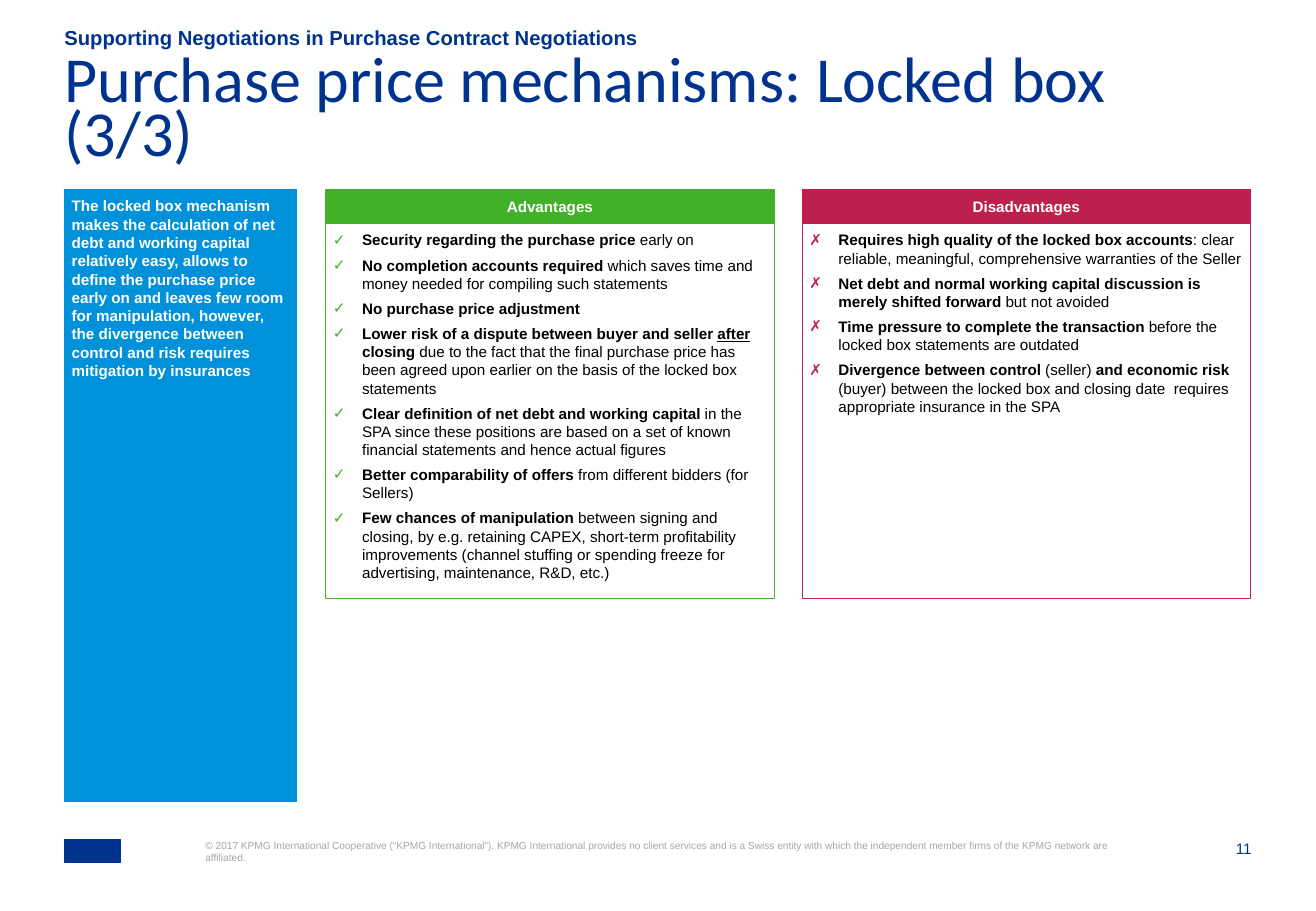
from lxml.etree import SubElement
from pptx import Presentation
from pptx.dml.color import RGBColor
from pptx.enum.shapes import MSO_SHAPE
from pptx.enum.text import MSO_ANCHOR, MSO_AUTO_SIZE, PP_ALIGN
from pptx.oxml.ns import qn
from pptx.util import Inches, Pt

NAVY, BLUE, GREEN, RED = "00338D", "0091DA", "43B02A", "BC204B"
WHITE, BLACK, GREY = "FFFFFF", "000000", "A6A6A6"
LEFT, TOP = 0.53, 1.56
INSET = 0.06
HEADER_HEIGHT, LIST_HEIGHT = 0.28, 3.09
COLUMN_WIDTH = 3.69

# Each point is a list of (text, style); b is bold, u is underlined.
ADVANTAGES = [
    [("Security regarding the purchase price", "b"), (" early on", "")],
    [("No completion accounts required", "b"),
     (" which saves time and money needed for compiling such statements", "")],
    [("No purchase price adjustment", "b")],
    [("Lower risk of a dispute between buyer and seller ", "b"), ("after", "bu"),
     (" closing", "b"),
     (" due to the fact that the final purchase price has been agreed upon earlier "
      "on the basis of the locked box statements", "")],
    [("Clear definition of net debt and working capital", "b"),
     (" in the SPA since these positions are based on a set of known financial "
      "statements and hence actual figures", "")],
    [("Better comparability of offers", "b"),
     (" from different bidders (for Sellers)", "")],
    [("Few chances of manipulation", "b"),
     (" between signing and closing, by e.g. retaining CAPEX, short-term profitability "
      "improvements (channel stuffing or spending freeze for advertising, maintenance, "
      "R&D, etc.)", "")],
]
DISADVANTAGES = [
    [("Requires high quality of the locked box accounts", "b"),
     (": clear reliable, meaningful, comprehensive warranties of the Seller", "")],
    [("Net debt and normal working capital discussion is merely shifted forward", "b"),
     (" but not avoided", "")],
    [("Time pressure to complete the transaction", "b"),
     (" before the locked box statements are outdated", "")],
    [("Divergence between control", "b"), (" (seller) ", ""),
     ("and economic risk ", "b"),
     ("(buyer) between the locked box and closing date\trequires appropriate "
      "insurance in the SPA", "")],
]


def rgb(color):
    return RGBColor.from_string(color)


def place(shape, left, top, width, height):
    shape.left, shape.top = Inches(left), Inches(top)
    shape.width, shape.height = Inches(width), Inches(height)


def paint(shape, fill, line, weight):
    shape.fill.solid()
    shape.fill.fore_color.rgb = rgb(fill)
    shape.line.color.rgb = rgb(line)
    shape.line.width = Pt(weight)


def prepare_frame(shape, inset=0, anchor=MSO_ANCHOR.TOP):
    frame = shape.text_frame
    frame.word_wrap = True
    frame.auto_size = MSO_AUTO_SIZE.NONE
    frame.vertical_anchor = anchor
    frame.margin_left = frame.margin_right = Inches(inset)
    frame.margin_top = frame.margin_bottom = Inches(inset)
    return frame


def format_paragraph(paragraph, size, color, align=PP_ALIGN.LEFT, after=0, face="Arial"):
    paragraph.alignment = align
    paragraph.space_before, paragraph.space_after = Pt(0), Pt(after)
    paragraph.font.size, paragraph.font.name = Pt(size), face
    paragraph.font.color.rgb = rgb(color)


def write(shape, text, size, color, bold=False, inset=0, anchor=MSO_ANCHOR.TOP, **style):
    """Fill the shape with one paragraph and return that paragraph."""
    paragraph = prepare_frame(shape, inset, anchor).paragraphs[0]
    paragraph.text = text
    format_paragraph(paragraph, size, color, **style)
    paragraph.font.bold = bold
    return paragraph


def add_bullet(paragraph, mark, color):
    properties = paragraph._p.get_or_add_pPr()
    properties.set("marL", str(Inches(0.24)))
    properties.set("indent", str(-Inches(0.24)))
    SubElement(SubElement(properties, qn("a:buClr")), qn("a:srgbClr")).set("val", color)
    SubElement(properties, qn("a:buFont")).set("typeface", "Arial")
    SubElement(properties, qn("a:buChar")).set("char", mark)


def build_heading(title, kicker):
    place(kicker, LEFT, 0.22, 9.4, 0.19)
    write(kicker, "Supporting Negotiations in Purchase Contract Negotiations",
          12, NAVY, bold=True, anchor=MSO_ANCHOR.BOTTOM)
    place(title, LEFT, 0.49, 9.75, 0.79)
    heading = write(title, "Purchase price mechanisms: Locked box (3/3)",
                    38, NAVY, face="Calibri")
    heading.line_spacing = 0.7


def build_sidebar(sidebar, left, top):
    place(sidebar, left, top, 1.91, 5.04)
    paint(sidebar, BLUE, BLUE, 0.75)
    write(sidebar,
          "The locked box mechanism makes the calculation of net debt and working capital "
          "relatively easy, allows to define the purchase price early on and leaves few "
          "room for manipulation, however, the divergence between control and risk "
          "requires mitigation by insurances",
          9, WHITE, bold=True, inset=INSET, after=6)


def build_column(slide, points_box, left, top, heading, points, mark, color):
    """Place a coloured header with its bulleted list below."""
    header = slide.shapes.add_shape(MSO_SHAPE.RECTANGLE, Inches(left), Inches(top),
                                    Inches(COLUMN_WIDTH), Inches(HEADER_HEIGHT))
    header.shadow.inherit = False
    paint(header, color, color, 0.5)
    write(header, heading, 9, WHITE, bold=True, inset=INSET,
          anchor=MSO_ANCHOR.MIDDLE, align=PP_ALIGN.CENTER)

    place(points_box, left, top + HEADER_HEIGHT, COLUMN_WIDTH, LIST_HEIGHT)
    paint(points_box, WHITE, color, 0.5)
    frame = prepare_frame(points_box, INSET)
    for index, point in enumerate(points):
        paragraph = frame.add_paragraph() if index else frame.paragraphs[0]
        add_bullet(paragraph, mark, color)
        format_paragraph(paragraph, 9, BLACK, after=4)
        for text, style in point:
            run = paragraph.add_run()
            run.text = text
            run.font.bold = "b" in style
            if "u" in style:
                run.font.underline = True


def build_footer(slide, top):
    emblem = slide.shapes.add_shape(MSO_SHAPE.RECTANGLE, Inches(LEFT), Inches(top),
                                    Inches(0.46), Inches(0.19))
    emblem.shadow.inherit = False
    paint(emblem, NAVY, NAVY, 0.5)
    copyright_line = slide.shapes.add_textbox(Inches(1.69), Inches(top),
                                              Inches(7.49), Inches(0.41))
    write(copyright_line,
          "© 2017 KPMG International Cooperative (“KPMG International”). KPMG International "
          "provides no client services and is a Swiss entity with which the independent "
          "member firms of the KPMG network are affiliated.", 6, GREY)
    page_number = slide.shapes.add_textbox(Inches(9.87), Inches(top),
                                           Inches(0.43), Inches(0.16))
    write(page_number, "11", 9, NAVY, align=PP_ALIGN.RIGHT)


def main():
    deck = Presentation()
    deck.slide_width, deck.slide_height = Inches(10.83), Inches(7.5)
    slide = deck.slides.add_slide(deck.slide_layouts.get_by_name("Comparison"))
    title, kicker, advantages, sidebar, disadvantages = slide.placeholders
    build_heading(title, kicker)
    build_sidebar(sidebar, LEFT, TOP)
    build_column(slide, advantages, 2.68, TOP, "Advantages", ADVANTAGES, "✓", GREEN)
    build_column(slide, disadvantages, 6.6, TOP, "Disadvantages", DISADVANTAGES, "✗", RED)
    build_footer(slide, 6.91)
    deck.save("out.pptx")


if __name__ == "__main__":
    main()
